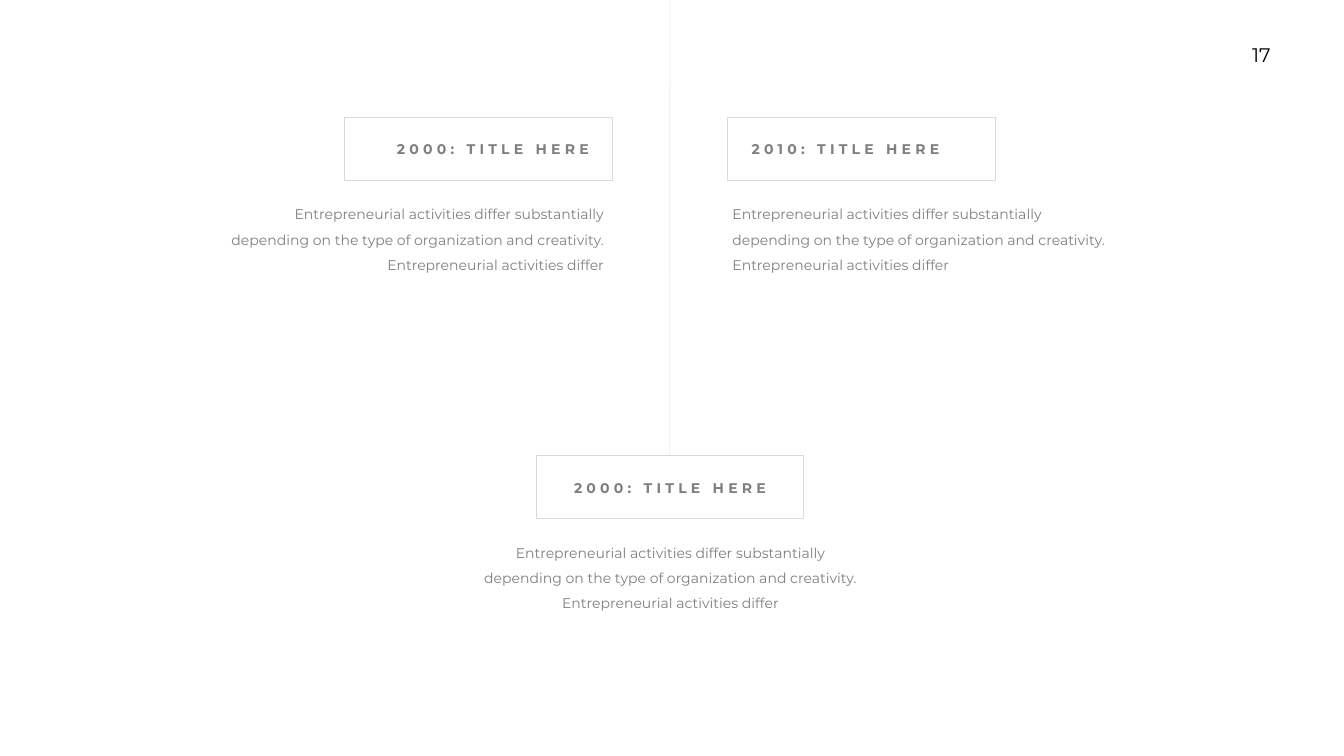
import pptx
import pptx.util
import pptx.dml.color
import pptx.enum.shapes
import pptx.enum.text
import pptx.oxml
import pptx.oxml.ns

Inches = pptx.util.Inches
Pt = pptx.util.Pt
Align = pptx.enum.text.PP_ALIGN
RECT = pptx.enum.shapes.MSO_SHAPE.RECTANGLE
WHITE = pptx.dml.color.RGBColor(0xFF, 0xFF, 0xFF)
BLACK = pptx.dml.color.RGBColor(0, 0, 0)
GREY = pptx.dml.color.RGBColor(0x7F, 0x7F, 0x7F)
RULE = pptx.dml.color.RGBColor(0xD9, 0xD9, 0xD9)
BODY = ("Entrepreneurial activities differ substantially depending on the type "
        "of organization and creativity. Entrepreneurial activities differ")


def write(shape, text, align, color=GREY, size=20, bold=False, space=1.5):
    frame = shape.text_frame
    frame.word_wrap = True
    frame.vertical_anchor = pptx.enum.text.MSO_ANCHOR.TOP
    para = frame.paragraphs[0]
    para.text = text
    para.alignment = align
    para.line_spacing = space
    para.font.name = "Montserrat"
    para.font.size = Pt(size)
    para.font.bold = bold
    para.font.color.rgb = color
    return para


def add_rect(group, left, top, width, height):
    rect = group.shapes.add_shape(
        RECT, Inches(left), Inches(top), Inches(width), Inches(height))
    rect.shadow.inherit = False
    rect.fill.solid()
    rect.fill.fore_color.rgb = WHITE
    return rect


deck = pptx.Presentation()
deck.slide_width = Inches(26.66)
deck.slide_height = Inches(15)
slide = deck.slides.add_slide(deck.slide_layouts[6])

# Page number
page = slide.shapes.add_textbox(
    Inches(24.57), Inches(0.76), Inches(1.12), Inches(0.67))
page.text_frame.margin_left = Inches(0.2)
page.text_frame.margin_right = Inches(0.42)
page.text_frame.margin_top = page.text_frame.margin_bottom = Inches(0.1)
write(page, "17", Align.CENTER, BLACK, 28, space=1)

# Timeline, joined below to the last box
line = slide.shapes.add_connector(
    pptx.enum.shapes.MSO_CONNECTOR.STRAIGHT,
    Inches(13.29), 0, Inches(13.29), Inches(9.04))
line.line.color.rgb = RULE
line.line.width = Pt(0.5)
line._element.spPr.append(pptx.oxml.parse_xml(
    "<a:effectLst %s/>" % pptx.oxml.ns.nsdecls("a")))

# Events: title, box left, box top, body left, alignment
events = [
    ("2000: TITLE HERE", 6.84, 2.33, 4.36, Align.RIGHT),
    ("2010: TITLE HERE", 14.43, 2.33, 14.43, Align.LEFT),
    ("2000: TITLE HERE", 10.63, 9.04, 9.44, Align.CENTER),
]
for title, left, top, side, align in events:
    # Framed title
    group = slide.shapes.add_group_shape()
    frame = add_rect(group, left, top, 5.31, 1.24)
    frame.line.color.rgb = RULE
    frame.line.width = Pt(1)
    label = add_rect(group, left + 0.38, top + 0.25, 4.56, 0.61)
    label.line.fill.background()
    para = write(label, title, align, bold=True)
    para.runs[0].font._element.set("spc", "600")

    # Body text
    body = slide.shapes.add_textbox(
        Inches(side), Inches(top + 1.54), Inches(7.72), Inches(1.62))
    write(body, BODY, align)

line.end_connect(frame, 0)

deck.save("out.pptx")
